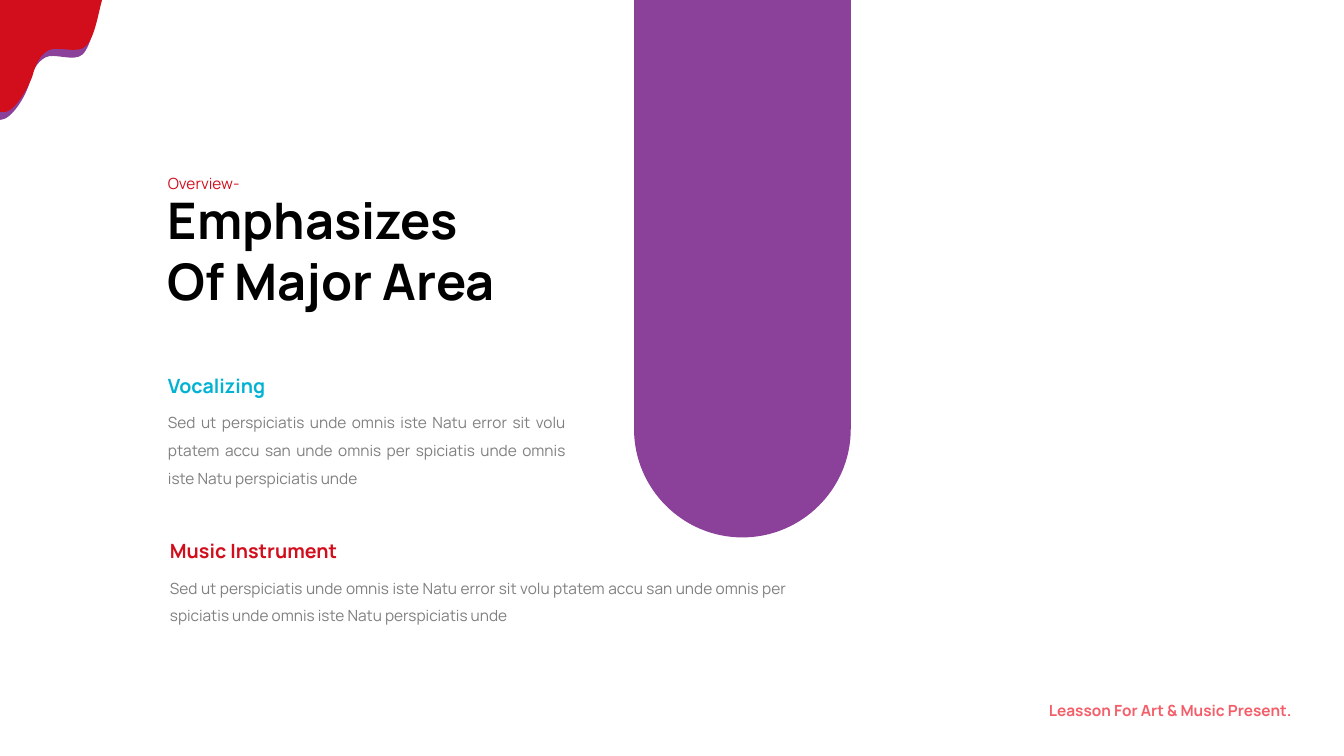
from lxml import etree
from pptx import Presentation, util as u
from pptx.dml.color import RGBColor
from pptx.enum import text
from pptx.oxml import ns

FONT = "Manrope"
INK = {"red": "D20E1C", "plum": "8B409A", "cyan": "01B2D4",
       "rose": "F45E69", "grey": "808080", "black": "000000"}
LOREM = ("Sed ut perspiciatis unde omnis iste Natu error sit volu ptatem accu san "
         "unde omnis per spiciatis unde omnis iste Natu perspiciatis unde")
LEFT, RIGHT, JUST = text.PP_ALIGN.LEFT, text.PP_ALIGN.RIGHT, text.PP_ALIGN.JUSTIFY


def bend(shape, left, top, moves):
    """Swap the straight segments for cubic curves where a move has six values."""
    lines = list(shape.element.iter(ns.qn("a:lnTo")))
    for line, move in zip(lines, moves[1:]):
        if len(move) == 2:
            continue
        curve = etree.Element(ns.qn("a:cubicBezTo"))
        for x, y in zip(move[::2], move[1::2]):
            etree.SubElement(curve, ns.qn("a:pt"),
                             x=str(u.Pt(left + x) - shape.left),
                             y=str(u.Pt(top + y) - shape.top))
        line.getparent().replace(line, curve)


def blob(shapes, left, top, moves, ink):
    """Draw a filled outline whose points are offsets from left and top."""
    dots = [(u.Pt(left + move[-2]), u.Pt(top + move[-1])) for move in moves]
    pen = shapes.build_freeform(*dots[0], scale=1.0)
    pen.add_line_segments(dots[1:], close=True)
    shape = pen.convert_to_shape()
    bend(shape, left, top, moves)
    shape.shadow.inherit = False
    shape.fill.solid()
    shape.fill.fore_color.rgb = RGBColor.from_string(INK[ink])
    shape.line.fill.background()


def pill(slide, left, top, wide, high):
    """Draw a bar with a square top and a round foot."""
    r = wide / 2
    pull = r * 0.55
    knee = high - r
    blob(slide.shapes, left, top, [
        (0, 0), (wide, 0), (wide, knee),
        (wide, knee + pull, r + pull, high, r, high),
        (r - pull, high, 0, knee + pull, 0, knee)], "plum")


def drip(slide, left, top):
    """Draw the two-layer paint drip in a corner."""
    group = slide.shapes.add_group_shape()
    blob(group.shapes, left, top, [
        (0, 5.76), (70.56, 5.76),
        (68.4, 12.96, 65.52, 32.4, 59.04, 38.88),
        (52.56, 44.64, 38.88, 37.44, 32.4, 41.04),
        (25.92, 44.64, 23.04, 51.12, 20.88, 59.76),
        (18.72, 67.68, 8.64, 85.68, 0, 85.68)], "plum")
    blob(group.shapes, left, top, [
        (0, 0), (72.72, 0), (72.72, 0.72),
        (70.56, 7.92, 67.68, 27.36, 61.2, 33.12),
        (54.72, 38.88, 41.04, 32.4, 34.56, 36),
        (28.08, 39.6, 25.2, 46.8, 23.04, 54.72),
        (20.16, 62.64, 9.36, 82.8, 0.72, 79.92), (0, 79.92)], "red")


def label(slide, box, words, size, ink, bold=False, align=LEFT, space=1.5):
    """Place one wrapped paragraph in a box."""
    shape = slide.shapes.add_textbox(*map(u.Pt, box))
    frame = shape.text_frame
    frame.word_wrap = True
    frame.auto_size = text.MSO_AUTO_SIZE.SHAPE_TO_FIT_TEXT
    para = frame.paragraphs[0]
    para.text = words
    para.alignment = align
    para.line_spacing = space
    font = para.font
    font.name, font.size, font.bold = FONT, u.Pt(size), bold
    font.color.rgb = RGBColor.from_string(INK[ink])


def header(slide, left, top):
    """Place the title and the kicker above it."""
    label(slide, (left, top + 17.6, 253.44, 94.32), "Emphasizes Of Major Area",
          36, "black", True, space=1.0)
    label(slide, (left, top, 121, 25.2), "Overview-", 11, "red", align=JUST)


def topic(slide, left, top, wide, high, name, ink):
    """Place a coloured heading with its body text."""
    head = 30.24
    label(slide, (left, top + head, wide, high - head), LOREM, 11, "grey", align=JUST)
    label(slide, (left, top, 230.4, head), name, 14, ink, True)


def main():
    """Build and save the slide."""
    deck = Presentation()
    deck.slide_width, deck.slide_height = u.Pt(960), u.Pt(540)
    slide = deck.slides.add_slide(deck.slide_layouts[6])
    pill(slide, 452.88, 0, 154.8, 383.9)
    drip(slide, 0, 0)
    label(slide, (659.9, 490.32, 270, 25.2), "Leasson For Art & Music Present.",
          11, "rose", True, RIGHT)
    header(slide, 112.75, 114.1)
    topic(slide, 112.9, 254.88, 298.5, 95.76, "Vocalizing", "cyan")
    topic(slide, 114.3, 372.96, 455.04, 75.6, "Music Instrument", "red")
    deck.save("out.pptx")


if __name__ == "__main__":
    main()
